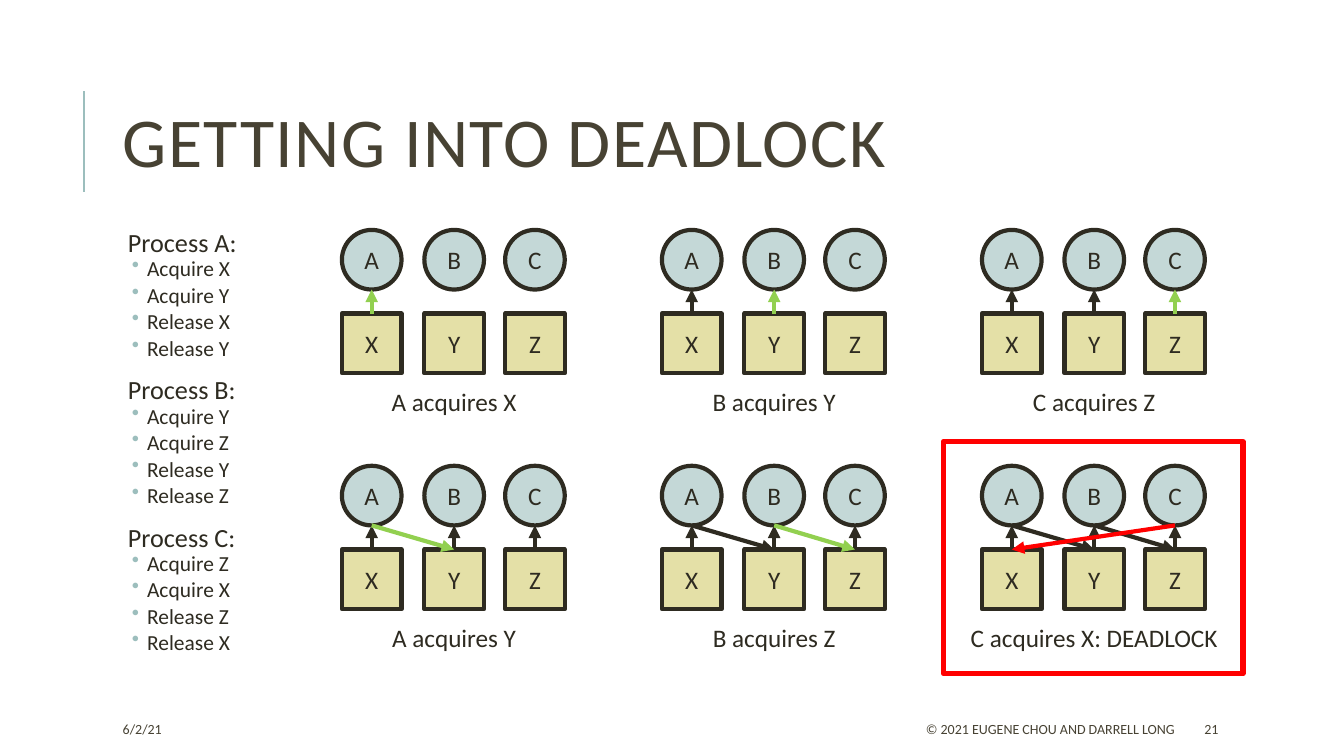
from dataclasses import dataclass

from lxml import etree
from pptx import Presentation
from pptx.dml.color import RGBColor
from pptx.enum import shapes, text
from pptx.oxml import ns
from pptx.util import Pt


@dataclass(frozen=True)
class Theme:
    font: str = "Calibri"
    ink: str = "2E2B21"
    heading: str = "474233"
    accent: str = "9CBEBD"
    process: str = "C4D8D7"
    resource: str = "E4E0A7"
    new_edge: str = "92D050"
    deadlock: str = "FF0000"
    title_size: float = 50
    label_size: float = 18
    process_size: float = 18.7
    action_size: float = 15.3
    footer_size: float = 10
    edge_width: float = 3
    frame_width: float = 4


@dataclass(frozen=True)
class Step:
    """One new edge, drawn from its first node to its second."""
    start: str
    end: str
    caption: str
    color: str
    caption_width: float = 119


@dataclass(frozen=True)
class Process:
    name: str
    actions: tuple[str, ...]


@dataclass(frozen=True)
class FooterItem:
    wording: str
    left: float
    width: float
    align: text.PP_ALIGN = text.PP_ALIGN.LEFT


THEME = Theme()
STEPS = (
    Step("X", "A", "A acquires X", THEME.new_edge),
    Step("Y", "B", "B acquires Y", THEME.new_edge),
    Step("Z", "C", "C acquires Z", THEME.new_edge),
    Step("A", "Y", "A acquires Y", THEME.new_edge),
    Step("B", "Z", "B acquires Z", THEME.new_edge),
    Step("C", "X", "C acquires X: DEADLOCK", THEME.deadlock, 212),
)
PROCESSES = (
    Process("Process A:", ("Acquire X", "Acquire Y", "Release X", "Release Y")),
    Process("Process B:", ("Acquire Y", "Acquire Z", "Release Y", "Release Z")),
    Process("Process C:", ("Acquire Z", "Acquire X", "Release Z", "Release X")),
)
FOOTER = (
    FooterItem("6/2/21", 80.6, 170),
    FooterItem("© 2021 EUGENE CHOU AND DARRELL LONG", 381.6, 464.4, text.PP_ALIGN.RIGHT),
    FooterItem("21", 853.2, 76),
)
PANEL_LEFT, PANEL_TOP = 244.2, 164.2
PANEL_PITCH_X, PANEL_PITCH_Y = 228.6, 168.5
PANELS_PER_ROW = 3
NODE_SIZE = 42.6
NODE_OFFSETS = (0, 58.9, 116.6)
RESOURCE_DROP = 59.8
CAPTION_DROP = 108


def style(paragraph, size: float, color: str, align=text.PP_ALIGN.LEFT) -> None:
    paragraph.alignment = align
    paragraph.font.name = THEME.font
    paragraph.font.size = Pt(size)
    paragraph.font.color.rgb = RGBColor.from_string(color)


def add_label(slide, wording: str, left: float, top: float, width: float, height: float,
              size: float, color: str, align: text.PP_ALIGN, anchor=text.MSO_ANCHOR.TOP) -> None:
    frame = slide.shapes.add_textbox(Pt(left), Pt(top), Pt(width), Pt(height)).text_frame
    frame.word_wrap = True
    frame.vertical_anchor = anchor
    frame.text = wording
    style(frame.paragraphs[0], size, color, align)


def add_line(slide, start: tuple[float, float], end: tuple[float, float],
             color: str, width: float, arrow: bool = False) -> None:
    line = slide.shapes.add_connector(shapes.MSO_CONNECTOR.STRAIGHT, *map(Pt, start + end))
    line.line.color.rgb = RGBColor.from_string(color)
    line.line.width = Pt(width)
    if arrow:
        etree.SubElement(line.line._get_or_add_ln(), ns.qn("a:tailEnd"), type="triangle")
    etree.SubElement(line._element.spPr, ns.qn("a:effectLst"))


def add_node(slide, name: str, left: float, top: float,
             outline: shapes.MSO_SHAPE, fill: str) -> None:
    node = slide.shapes.add_shape(outline, Pt(left), Pt(top), Pt(NODE_SIZE), Pt(NODE_SIZE))
    node.shadow.inherit = False
    node.fill.solid()
    node.fill.fore_color.rgb = RGBColor.from_string(fill)
    node.line.color.rgb = RGBColor.from_string(THEME.ink)
    node.line.width = Pt(THEME.edge_width)
    frame = node.text_frame
    frame.margin_left = frame.margin_right = 0
    frame.vertical_anchor = text.MSO_ANCHOR.MIDDLE
    frame.text = name
    style(frame.paragraphs[0], THEME.label_size, THEME.ink, text.PP_ALIGN.CENTER)


def add_panel(slide, index: int) -> None:
    """Draw the graph after the given step, with every earlier edge in ink."""
    row, column = divmod(index, PANELS_PER_ROW)
    left = PANEL_LEFT + column * PANEL_PITCH_X
    top = PANEL_TOP + row * PANEL_PITCH_Y
    ports = {}
    for process, resource, offset in zip("ABC", "XYZ", NODE_OFFSETS):
        x = left + offset
        add_node(slide, process, x, top, shapes.MSO_SHAPE.OVAL, THEME.process)
        add_node(slide, resource, x, top + RESOURCE_DROP,
                 shapes.MSO_SHAPE.RECTANGLE, THEME.resource)
        ports[process] = (x + NODE_SIZE / 2, top + NODE_SIZE)
        ports[resource] = (x + NODE_SIZE / 2, top + RESOURCE_DROP)
    newest = STEPS[index]
    for step in STEPS[:index + 1]:
        color = step.color if step is newest else THEME.ink
        add_line(slide, ports[step.start], ports[step.end], color, THEME.edge_width, arrow=True)
    center = ports["B"][0]
    add_label(slide, newest.caption, center - newest.caption_width / 2, top + CAPTION_DROP,
              newest.caption_width, 29, THEME.label_size, THEME.ink, text.PP_ALIGN.CENTER)


def add_title(slide) -> None:
    title = slide.shapes.title
    title.left, title.top, title.width, title.height = Pt(80.6), Pt(46), Pt(765.4), Pt(118)
    frame = title.text_frame
    frame.text = "GETTING INTO DEADLOCK"
    frame.auto_size = text.MSO_AUTO_SIZE.NONE
    frame.vertical_anchor = text.MSO_ANCHOR.MIDDLE
    heading = frame.paragraphs[0]
    heading.line_spacing = 0.8
    style(heading, THEME.title_size, THEME.heading)
    heading.runs[0]._r.get_or_add_rPr().set("spc", "100")


def add_bullet(paragraph) -> None:
    properties = paragraph._p.get_or_add_pPr()
    properties.set("marL", str(Pt(20.9)))
    properties.set("indent", str(Pt(-10.8)))
    bullet_color = etree.SubElement(properties, ns.qn("a:buClr"))
    etree.SubElement(bullet_color, ns.qn("a:srgbClr"), val=THEME.accent)
    etree.SubElement(properties, ns.qn("a:buChar"), char="•")


def add_processes(slide) -> None:
    frame = slide.shapes.add_textbox(Pt(80.6), Pt(164.2), Pt(163.4), Pt(316.8)).text_frame
    frame.word_wrap = True
    frame.margin_left = frame.margin_right = frame.margin_top = frame.margin_bottom = Pt(3.6)
    for number, process in enumerate(PROCESSES):
        name = frame.add_paragraph() if number else frame.paragraphs[0]
        name.text = process.name
        name._p.get_or_add_pPr().set("marL", str(Pt(7.2)))
        name.line_spacing = 0.7
        name.space_before = Pt(12 if number else 0)
        name.space_after = Pt(2)
        style(name, THEME.process_size, THEME.ink)
        for wording in process.actions:
            action = frame.add_paragraph()
            action.text = wording
            action.level = 1
            add_bullet(action)
            action.line_spacing = 0.7
            action.space_before, action.space_after = Pt(2), Pt(4)
            style(action, THEME.action_size, THEME.ink)


def add_deadlock_frame(slide) -> None:
    frame = slide.shapes.add_shape(shapes.MSO_SHAPE.RECTANGLE,
                                   Pt(673.9), Pt(315.4), Pt(213.9), Pt(165.8))
    frame.shadow.inherit = False
    frame.fill.background()
    frame.line.color.rgb = RGBColor.from_string(THEME.deadlock)
    frame.line.width = Pt(THEME.frame_width)


def main() -> None:
    deck = Presentation()
    deck.slide_width, deck.slide_height = Pt(960), Pt(540)
    slide = deck.slides.add_slide(deck.slide_layouts[5])
    add_line(slide, (60, 136.8), (60, 64.8), THEME.accent, 1.5)
    add_title(slide)
    add_processes(slide)
    for index in range(len(STEPS)):
        add_panel(slide, index)
    add_deadlock_frame(slide)
    for item in FOOTER:
        add_label(slide, item.wording, item.left, 509.8, item.width, 21.6, THEME.footer_size,
                  THEME.heading, item.align, text.MSO_ANCHOR.MIDDLE)
    deck.save("out.pptx")


if __name__ == "__main__":
    main()
